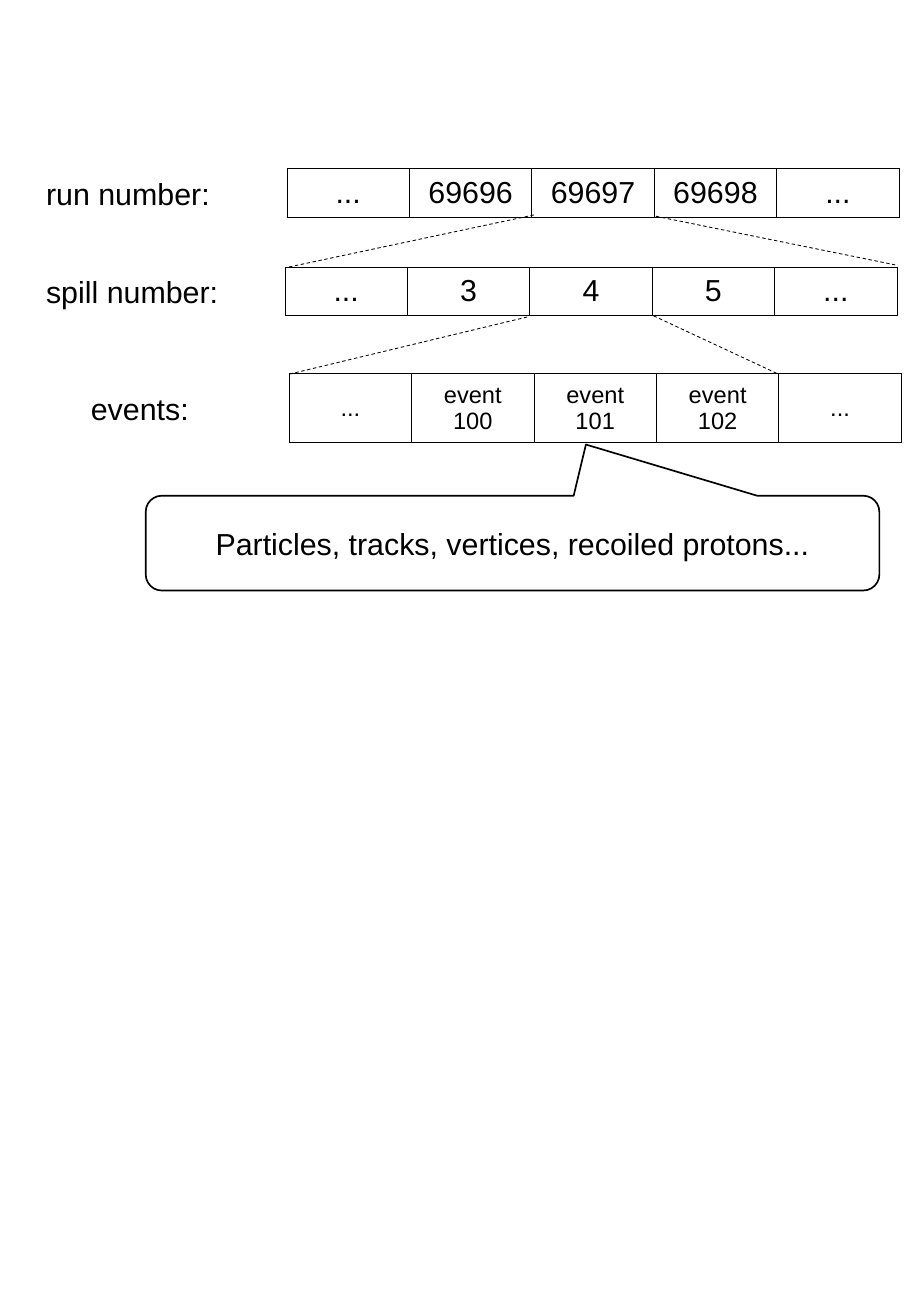
"""Build the slide showing how runs, spills and events nest."""
from lxml.etree import SubElement
from pptx import Presentation
from pptx.dml.color import RGBColor
from pptx.enum.dml import MSO_LINE
from pptx.enum.shapes import MSO_CONNECTOR as CONNECTOR, MSO_SHAPE as SHAPE
from pptx.enum.text import MSO_ANCHOR as ANCHOR, PP_ALIGN as ALIGN
from pptx.oxml import parse_xml
from pptx.oxml.ns import qn
from pptx.util import Pt

BLACK = RGBColor(0, 0, 0)
WHITE = RGBColor(255, 255, 255)
FONT = "Arial"
TEXT_SIZE = 18
THIN = 0.5
COLUMN_WIDTH = 72.58
LABEL_HEIGHT = 29

LEVELS = [
    {"label": "run number:", "label_at": (20.2, 100), "label_width": 137.5,
     "cells": ["...", "69696", "69697", "69698", "..."],
     "at": (170.1, 100.1), "height": 29, "size": 18},
    {"label": "spill number:", "label_at": (20.2, 158.4), "label_width": 137.5,
     "cells": ["...", "3", "4", "5", "..."],
     "at": (168.9, 158.2), "height": 29, "size": 18},
    {"label": "events:", "label_at": (46.8, 227.5), "label_width": 84.2,
     "cells": ["...", "event 100", "event 101", "event 102", "..."],
     "at": (171.4, 221.4), "height": 41, "size": 14},
]
ZOOM_LINES = [
    (316.5, 127.4, 170.6, 158.4),
    (388.8, 128.2, 530.6, 157),
    (312.5, 187.9, 171.4, 221.8),
    (387.4, 187.2, 461.5, 221.8),
]
CALLOUT_TEXT = "Particles, tracks, vertices, recoiled protons..."
CALLOUT_BOX = (86.4, 293.8, 434.9, 56.2)
CALLOUT_TAIL = (0.1, -1.04, 0.17)


def add_text(frame, text, size=TEXT_SIZE, align=ALIGN.LEFT):
    frame.word_wrap = True
    para = frame.paragraphs[0]
    para.alignment = align
    span = para.add_run()
    span.text = text
    span.font.name = FONT
    span.font.size = Pt(size)
    span.font.color.rgb = BLACK


def add_borders(cell):
    properties = cell._tc.get_or_add_tcPr()
    for index, side in enumerate(("lnL", "lnR", "lnT", "lnB")):
        properties.insert(index, parse_xml(
            f'<a:{side} xmlns:a="http://schemas.openxmlformats.org/drawingml/2006/main" '
            f'w="{Pt(THIN)}"><a:solidFill><a:srgbClr val="{BLACK}"/></a:solidFill></a:{side}>'))


def add_level(slide, level):
    texts = level["cells"]
    left, top = level["at"]
    width, height = COLUMN_WIDTH * len(texts), level["height"]
    table = slide.shapes.add_table(
        1, len(texts), Pt(left), Pt(top), Pt(width), Pt(height)).table
    table.first_row = table.horz_banding = False
    for index, text in enumerate(texts):
        table.columns[index].width = Pt(COLUMN_WIDTH)
        cell = table.cell(0, index)
        cell.fill.background()
        cell.vertical_anchor = ANCHOR.MIDDLE
        add_borders(cell)
        add_text(cell.text_frame, text, level["size"], ALIGN.CENTER)
    label_left, label_top = level["label_at"]
    box = slide.shapes.add_textbox(
        Pt(label_left), Pt(label_top), Pt(level["label_width"]), Pt(LABEL_HEIGHT))
    add_text(box.text_frame, level["label"])


def add_zoom_line(slide, ends):
    connector = slide.shapes.add_connector(CONNECTOR.STRAIGHT, *map(Pt, ends))
    connector.line.color.rgb = BLACK
    connector.line.width = Pt(THIN)
    connector.line.dash_style = MSO_LINE.DASH
    SubElement(connector._element.spPr, qn("a:effectLst"))


def add_callout(slide):
    callout = slide.shapes.add_shape(
        SHAPE.ROUNDED_RECTANGULAR_CALLOUT, *map(Pt, CALLOUT_BOX))
    for index, value in enumerate(CALLOUT_TAIL):
        callout.adjustments[index] = value
    callout.shadow.inherit = False
    callout.fill.background()
    callout.line.color.rgb = BLACK
    callout.line.width = Pt(1)
    callout.text_frame.vertical_anchor = ANCHOR.MIDDLE
    add_text(callout.text_frame, CALLOUT_TEXT, align=ALIGN.CENTER)


deck = Presentation()
deck.slide_width, deck.slide_height = Pt(540), Pt(780)
page = deck.slides.add_slide(deck.slide_layouts[6])
page.background.fill.solid()
page.background.fill.fore_color.rgb = WHITE
for level in LEVELS:
    add_level(page, level)
for ends in ZOOM_LINES:
    add_zoom_line(page, ends)
add_callout(page)
deck.save("out.pptx")
